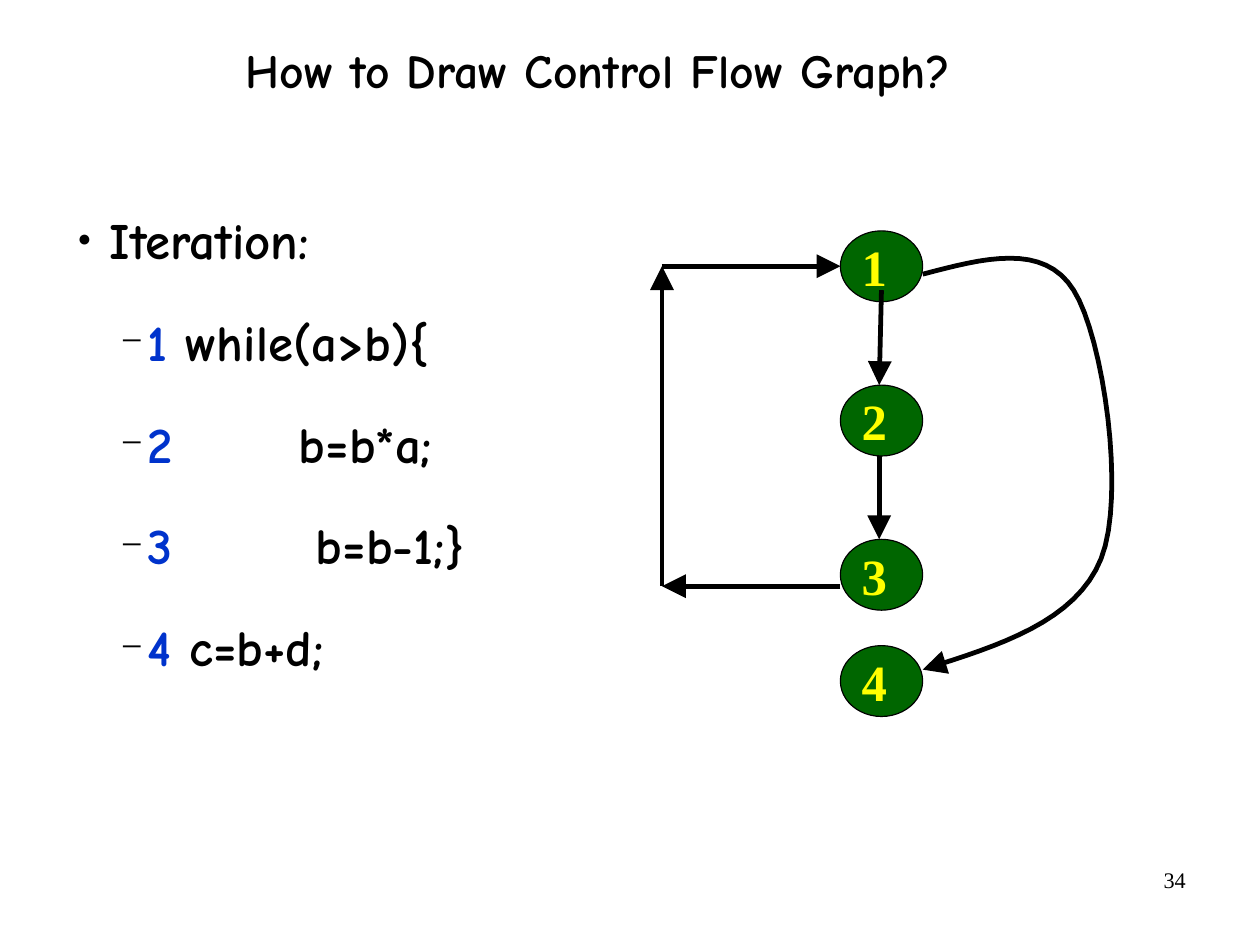
from lxml import etree
from pptx import Presentation
from pptx import util as u
from pptx.dml.color import RGBColor
from pptx.enum import shapes, text
from pptx.oxml import ns

HUES = {"ink": "000000", "mark": "0033CC", "node": "006600", "label": "FFFF00"}
SANS, SERIF = "Comic Neue", "Times New Roman"
ALIGN, ANCHOR = text.PP_ALIGN, text.MSO_ANCHOR


def hue(name):
    """Return the named colour."""
    return RGBColor.from_string(HUES[name])


def sub(node, tag, **attrs):
    """Append a drawing element to a node."""
    return etree.SubElement(node, ns.qn("a:" + tag), attrs)


def write(para, words, size=32, font=SANS, color="ink", bold=True, track=0):
    """Add a run of text in the given format."""
    run = para.add_run()
    run.text = words
    run.font.size, run.font.name, run.font.bold = u.Pt(size), font, bold
    run.font.color.rgb = hue(color)
    if track:
        run.font._element.set("spc", str(track * 100))


def bullet(para, sign, share, left, hang):
    """Give a paragraph a hanging bullet and list spacing."""
    para.line_spacing = 1.2
    para.space_before = para.space_after = u.Pt(9)
    props = para._p.get_or_add_pPr()
    props.set("marL", str(u.Inches(left)))
    props.set("indent", str(-u.Inches(hang)))
    sub(sub(props, "buClr"), "srgbClr", val=HUES["ink"])
    sub(props, "buSzPct", val=str(share * 1000))
    sub(props, "buFont", typeface=SERIF)
    sub(props, "buChar", char=sign)


def bezier(a, b, c, d, steps=16):
    """Return points along a cubic curve, without its start."""
    ts = [i / steps for i in range(1, steps + 1)]
    return [tuple((1 - t) ** 3 * p + 3 * t * (1 - t) ** 2 * q
                  + 3 * t * t * (1 - t) * r + t ** 3 * s
                  for p, q, r, s in zip(a, b, c, d)) for t in ts]


class Board:
    """Hold the current slide and its grid of 100 columns and 100 rows."""

    def __init__(self, deck):
        """Add a blank slide and measure its grid."""
        self.slide = deck.slides.add_slide(deck.slide_layouts[6])
        self.items = self.slide.shapes
        self.col, self.row = deck.slide_width / 100, deck.slide_height / 100

    def at(self, *spots):
        """Turn alternating columns and rows into lengths."""
        return [round(v * (self.row if i % 2 else self.col))
                for i, v in enumerate(spots)]

    def frame(self, shape, pad=(0, 0), anchor=ANCHOR.TOP, wrap=True):
        """Set up the text frame of a shape and return it."""
        tf = shape.text_frame
        tf.word_wrap, tf.vertical_anchor = wrap, anchor
        tf.margin_left = tf.margin_right = u.Inches(pad[0])
        tf.margin_top = tf.margin_bottom = u.Inches(pad[1])
        return tf

    def box(self, *spot, **style):
        """Add a text box and return its frame."""
        return self.frame(self.items.add_textbox(*self.at(*spot)), **style)

    def node(self, name, x, y, w, h):
        """Add a numbered graph node."""
        oval = self.items.add_shape(shapes.MSO_SHAPE.OVAL, *self.at(x, y, w, h))
        oval.shadow.inherit = False
        oval.fill.solid()
        oval.fill.fore_color.rgb = hue("node")
        oval.line.color.rgb, oval.line.width = hue("ink"), u.Pt(0.75)
        para = self.frame(oval, (0.08, 0.04), ANCHOR.MIDDLE, False).paragraphs[0]
        para.alignment = ALIGN.LEFT
        write(para, name, font=SERIF, color="label")

    def tip(self, edge):
        """Style an edge and put an arrowhead at its end."""
        edge.line.color.rgb, edge.line.width = hue("ink"), u.Pt(3)
        props = edge.element.spPr
        sub(props.find(ns.qn("a:ln")), "tailEnd", type="triangle", w="lg", len="lg")
        if props.find(ns.qn("a:effectLst")) is None:
            sub(props, "effectLst")

    def arrow(self, start, end):
        """Add a straight arrow."""
        kind = shapes.MSO_CONNECTOR.STRAIGHT
        self.tip(self.items.add_connector(kind, *self.at(*start, *end)))

    def curve(self, knots):
        """Add a curved arrow through chained cubic segments."""
        dots = [dot for i in range(0, len(knots) - 1, 3)
                for dot in bezier(*knots[i:i + 4])]
        pen = self.items.build_freeform(*self.at(*knots[0]))
        pen.add_line_segments([self.at(*dot) for dot in dots], close=False)
        edge = pen.convert_to_shape()
        edge.shadow.inherit = False
        edge.fill.background()
        self.tip(edge)


def main():
    """Build the slide and save it."""
    deck = Presentation()
    deck.slide_width, deck.slide_height = u.Cm(28), u.Cm(21)
    board = Board(deck)

    page = board.box(71.69, 91.05, 23.32, 6.89, pad=(0.1, 0.05)).paragraphs[0]
    page.alignment = ALIGN.RIGHT
    write(page, "34", size=14, font=SERIF, bold=False)

    title = board.box(13.7, 0.12, 67.51, 15.36, anchor=ANCHOR.MIDDLE).paragraphs[0]
    title.alignment, title.line_spacing = ALIGN.CENTER, 0.88
    write(title, "How to Draw Control Flow Graph?", size=30)

    body = board.box(6.17, 20.8, 70.05, 55.02)
    bullet(body.paragraphs[0], "●", 45, 0.28, 0.28)
    write(body.paragraphs[0], "Iteration:")
    code = [("while(a>b){", 0), ("b=b*a;", 68), ("b=b-1;}", 79), ("c=b+d;", 0)]
    for num, (line, gap) in enumerate(code, 1):
        para = body.add_paragraph()
        para.level = 1
        bullet(para, "−", 75, 0.61, 0.23)
        write(para, str(num), color="mark")
        write(para, " ", track=gap)
        write(para, line)

    left, wide, high = 66.7, 6.53, 7.5
    tops = [24.43, 40.75, 57.07, 68.32]
    for num, top in enumerate(tops, 1):
        board.node(str(num), left, top, wide, high)

    mid, back, low, head = 69.78, 52.54, 62.03, 28.17
    board.arrow((69.96, 30.71), (mid, tops[1]))
    board.arrow((mid, tops[1] + high), (mid, tops[2]))
    loop = [(left, low), (back, low), (back, head), (left, head)]
    for start, end in zip(loop, loop[1:]):
        board.arrow(start, end)
    board.curve([(73.23, 29.02), (78.04, 27.33), (82.85, 25.63), (85.21, 30.71),
                 (87.57, 35.67), (89.38, 52.48), (87.39, 59.13),
                 (85.39, 65.78), (79.31, 68.32), (73.23, 70.86)])
    deck.save("out.pptx")


if __name__ == "__main__":
    main()
